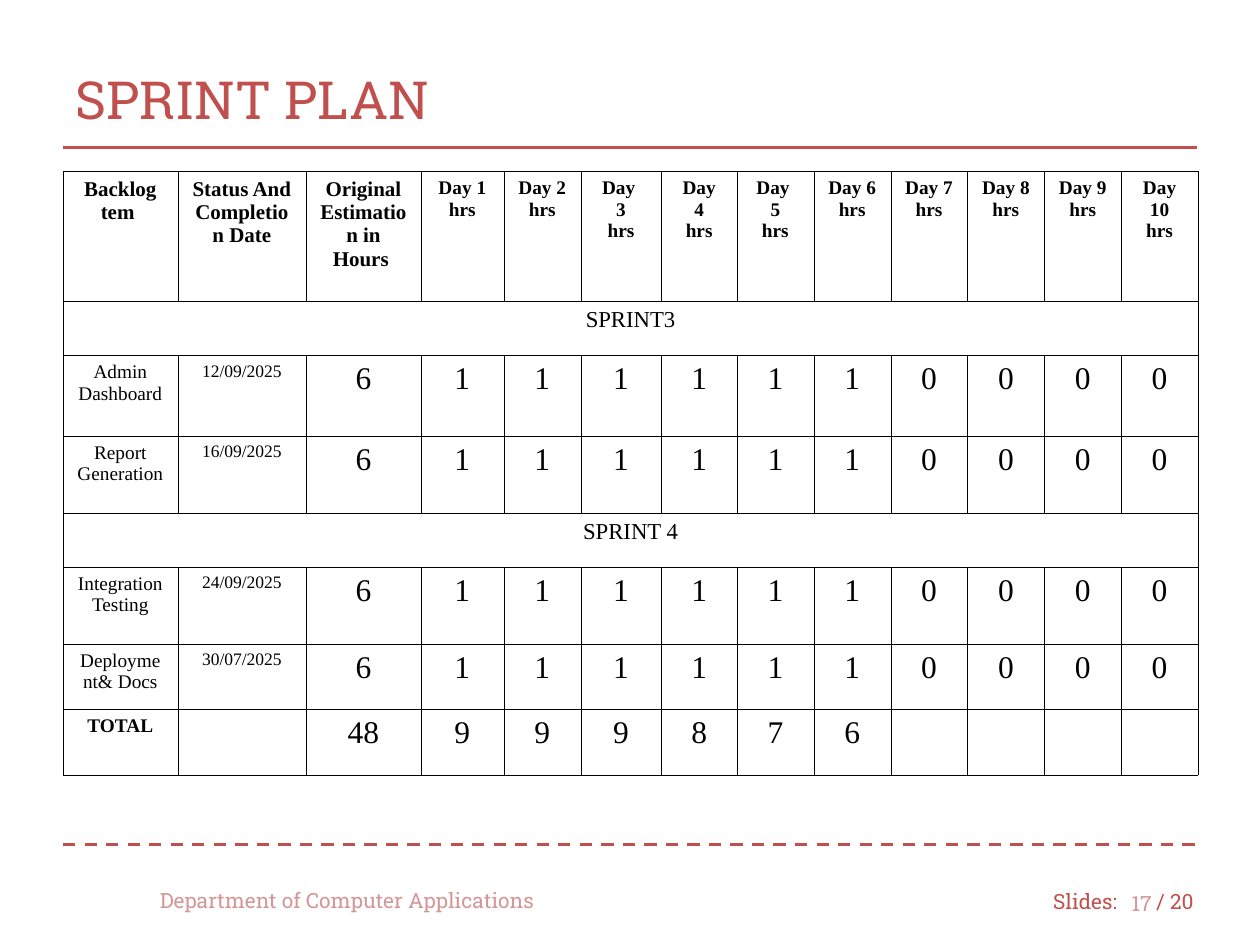
from lxml.etree import SubElement
from pptx import Presentation
from pptx.dml.color import RGBColor
from pptx.enum.dml import MSO_LINE
from pptx.enum.shapes import MSO_CONNECTOR
from pptx.enum.text import MSO_ANCHOR, PP_ALIGN
from pptx.oxml.ns import qn
from pptx.util import Inches, Pt

COLORS = {"red": "C0504D", "pale": "D29796", "black": "000000", "white": "FFFFFF"}
SLAB, SERIF = "Roboto Slab", "Times New Roman"

# text, left, top, width, height, size, color, alignment
LABELS = [
    ("Slides:", 8.26, 6.96, 0.74, 0.39, 12, "red", PP_ALIGN.LEFT),
    ("/ 20", 9.08, 6.96, 0.57, 0.39, 12, "red", PP_ALIGN.LEFT),
    ("SPRINT PLAN", 0.5, 0.33, 8.99, 0.91, 30, "red", PP_ALIGN.LEFT),
    ("Department of Computer Applications", 1.17, 6.95, 3.33, 0.39, 12, "pale", PP_ALIGN.LEFT),
    ("17", 8.83, 6.97, 0.41, 0.39, 12, "pale", PP_ALIGN.RIGHT),
]
RULES = [(6.7, MSO_LINE.DASH), (1.17, MSO_LINE.SOLID)]  # top, dash

COLS = [0.91, 1.02, 0.91, 0.66, 0.61, 0.64, 0.6] + [0.61] * 6
ROWS = [1.03, 0.43, 0.64, 0.61, 0.43, 0.61, 0.52, 0.52]
HEAD = [
    "Backlog tem ", "Status And Completion Date", "Original Estimation in Hours ",
    "Day 1\nhrs", "Day 2\nhrs", "Day \n3\nhrs", "Day\n4\nhrs", "Day \n5\nhrs",
    "Day 6\nhrs", "Day 7\nhrs", "Day 8\nhrs", "Day 9\nhrs", "Day 10\nhrs",
]
HOURS = ["6"] + ["1"] * 6 + ["0"] * 4
PLAN = [
    HEAD,
    ["SPRINT3"],
    ["Admin Dashboard", "12/09/2025"] + HOURS,
    ["Report\nGeneration", "16/09/2025"] + HOURS,
    ["SPRINT 4"],
    ["Integration Testing", "24/09/2025"] + HOURS,
    ["Deployment& Docs", "30/07/2025"] + HOURS,
    ["TOTAL", "", "48", "9", "9", "9", "8", "7", "6", "", "", "", ""],
]


def rgb(name):
    return RGBColor.from_string(COLORS[name])


def write(frame, text, font, size, color, align, bold=False):
    """Fill a text frame, one paragraph for each line of text."""
    for i, line in enumerate(text.split("\n")):
        para = frame.add_paragraph() if i else frame.paragraphs[0]
        para.alignment = align
        run = para.add_run()
        run.text = line
        run.font.name = font
        run.font.size = Pt(size)
        run.font.bold = bold
        run.font.color.rgb = rgb(color)


def add_label(slide, text, left, top, width, height, size, color, align):
    box = slide.shapes.add_textbox(Inches(left), Inches(top), Inches(width), Inches(height))
    frame = box.text_frame
    frame.word_wrap = True
    frame.vertical_anchor = MSO_ANCHOR.MIDDLE
    write(frame, text, SLAB, size, color, align)


def add_rule(slide, top, dash):
    rule = slide.shapes.add_connector(
        MSO_CONNECTOR.STRAIGHT, Inches(0.5), Inches(top), Inches(9.5), Inches(top))
    rule.line.color.rgb = rgb("red")
    rule.line.width = Pt(1.75)
    rule.line.dash_style = dash
    SubElement(rule._element.spPr, qn("a:effectLst"))


def style(cell):
    """Give a cell thin black borders and a white fill."""
    props = cell._tc.get_or_add_tcPr()
    for side in ("a:lnL", "a:lnR", "a:lnT", "a:lnB"):
        line = SubElement(props, qn(side), w=str(Pt(0.06)))
        SubElement(SubElement(line, qn("a:solidFill")), qn("a:srgbClr"), val=COLORS["black"])
    cell.fill.solid()
    cell.fill.fore_color.rgb = rgb("white")


def text_size(row, col):
    if len(PLAN[row]) == 1:
        return 13
    if row == 0:
        return 12 if col < 3 else 11
    return (11, 10)[col] if col < 2 else 18


def add_plan(slide):
    table = slide.shapes.add_table(
        len(ROWS), len(COLS), Inches(0.5), Inches(1.36),
        Inches(sum(COLS)), Inches(sum(ROWS))).table
    for col, width in zip(table.columns, COLS):
        col.width = Inches(width)
    for row, height in zip(table.rows, ROWS):
        row.height = Inches(height)
    for cell in table.iter_cells():
        style(cell)
    for r, texts in enumerate(PLAN):
        if len(texts) == 1:
            table.cell(r, 0).merge(table.cell(r, len(COLS) - 1))
        for c, text in enumerate(texts):
            if text:
                write(table.cell(r, c).text_frame, text, SERIF, text_size(r, c),
                      "black", PP_ALIGN.CENTER, r == 0 or text == "TOTAL")


def main():
    deck = Presentation()
    deck.slide_width, deck.slide_height = Inches(10), Inches(7.5)
    slide = deck.slides.add_slide(deck.slide_layouts[6])
    for rule in RULES:
        add_rule(slide, *rule)
    for label in LABELS:
        add_label(slide, *label)
    add_plan(slide)
    deck.save("out.pptx")


if __name__ == "__main__":
    main()
